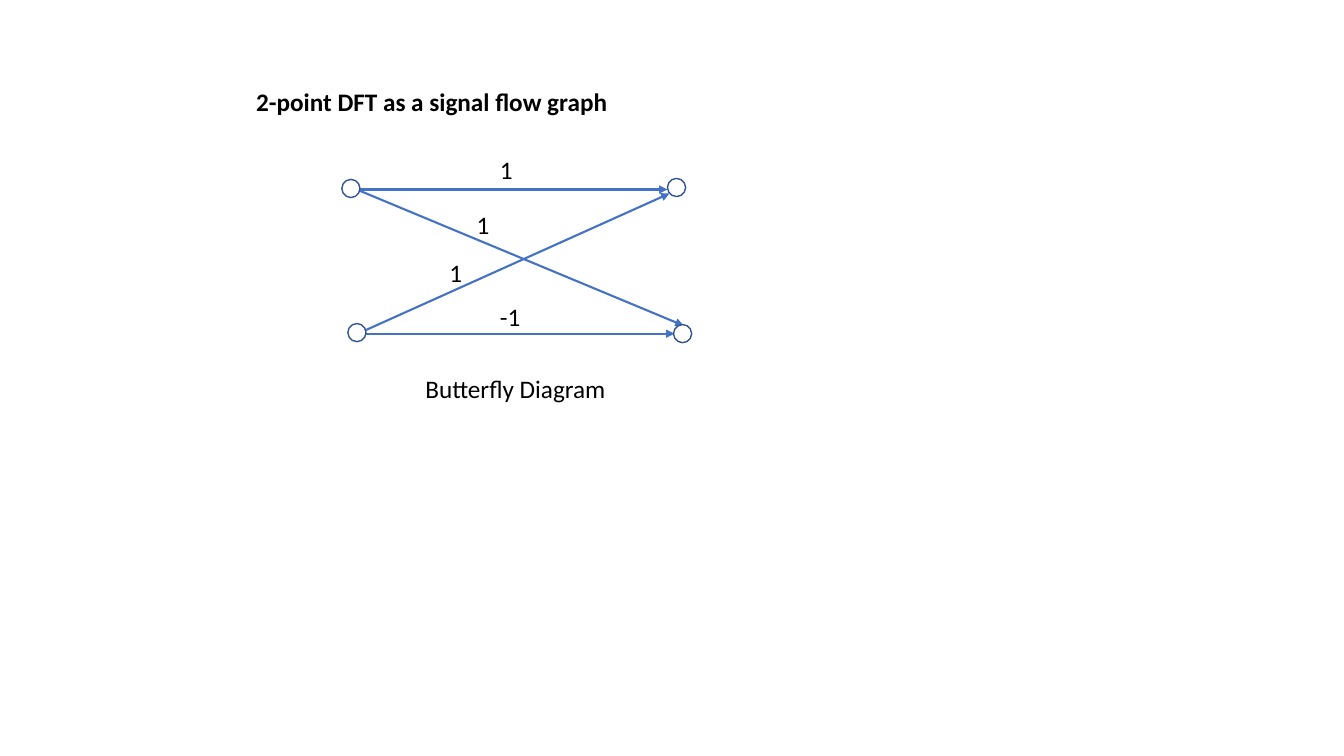
from lxml.etree import SubElement
from pptx import Presentation
from pptx.dml.color import RGBColor
from pptx.enum.shapes import MSO_CONNECTOR, MSO_SHAPE
from pptx.enum.text import MSO_ANCHOR, MSO_AUTO_SIZE, PP_ALIGN
from pptx.oxml.ns import qn
from pptx.util import Inches, Pt

CELL = Inches(0.1)
NODE_SIZE = 1.8
TEXT_HEIGHT = 4
LABEL_WIDTH = 5.3

NODES = [(0.9, 3.9), (1.5, 18.2), (33.2, 3.8), (33.8, 18.3)]
BRANCHES = [
    ((0.9, 4), (32.3, 4), "1", (14.7, 0)),
    ((1.6, 18.3), (33, 18.3), "-1", (14.7, 14.6)),
    ((1, 3.8), (33.9, 17.5), "1", (12.4, 5.5)),
    ((1.6, 18.3), (32.5, 4.4), "1", (9.7, 10.2)),
]


def color(hex_string):
    return RGBColor.from_string(hex_string)


def cells(*counts):
    return [round(count * CELL) for count in counts]


def write_text(holder, wording, bold=False, wrap=True):
    frame = holder.text_frame
    frame.text = wording
    frame.word_wrap = wrap
    frame.auto_size = MSO_AUTO_SIZE.SHAPE_TO_FIT_TEXT
    frame.vertical_anchor = MSO_ANCHOR.TOP
    paragraph = frame.paragraphs[0]
    paragraph.alignment = PP_ALIGN.LEFT
    paragraph.font.name = "Calibri"
    paragraph.font.size = Pt(18)
    paragraph.font.bold = bold
    paragraph.font.color.rgb = color("000000")


def add_label(slide, wording, left, top, width, wrap=True):
    label = slide.shapes.add_textbox(*cells(left, top, width, TEXT_HEIGHT))
    write_text(label, wording, wrap=wrap)


def add_branch(slide, start, end):
    branch = slide.shapes.add_connector(MSO_CONNECTOR.STRAIGHT, *cells(*start, *end))
    branch.line.color.rgb = color("4472C4")
    branch.line.width = Pt(1.5)
    SubElement(branch.line._get_or_add_ln(), qn("a:tailEnd"), type="triangle")
    SubElement(branch._element.spPr, qn("a:effectLst"))


def add_node(slide, x, y):
    corner = (x - NODE_SIZE / 2, y - NODE_SIZE / 2)
    node = slide.shapes.add_shape(MSO_SHAPE.OVAL, *cells(*corner, NODE_SIZE, NODE_SIZE))
    node.shadow.inherit = False
    node.fill.solid()
    node.fill.fore_color.rgb = color("FFFFFF")
    node.line.color.rgb = color("325491")
    node.line.width = Pt(1)


def place_heading(slide, left, top, width):
    heading = slide.shapes.title
    heading.left, heading.top, heading.width, heading.height = cells(
        left, top, width, TEXT_HEIGHT
    )
    write_text(heading, "2-point DFT as a signal flow graph", bold=True, wrap=False)


def draw_butterfly(slide, left, top):
    def within(point):
        return left + point[0], top + point[1]

    for start, end, _, _ in BRANCHES:
        add_branch(slide, within(start), within(end))
    for center in NODES:
        add_node(slide, *within(center))
    for _, _, gain, corner in BRANCHES:
        add_label(slide, gain, *within(corner), LABEL_WIDTH)
    add_label(slide, "Butterfly Diagram", *within((7.3, 21.7)), 20.1, wrap=False)


def main():
    deck = Presentation()
    deck.slide_width, deck.slide_height = Inches(13.33), Inches(7.5)
    slide = deck.slides.add_slide(deck.slide_layouts[5])
    place_heading(slide, 24.4, 8.1, 37.2)
    draw_butterfly(slide, 33.9, 14.8)
    deck.save("out.pptx")


if __name__ == "__main__":
    main()
